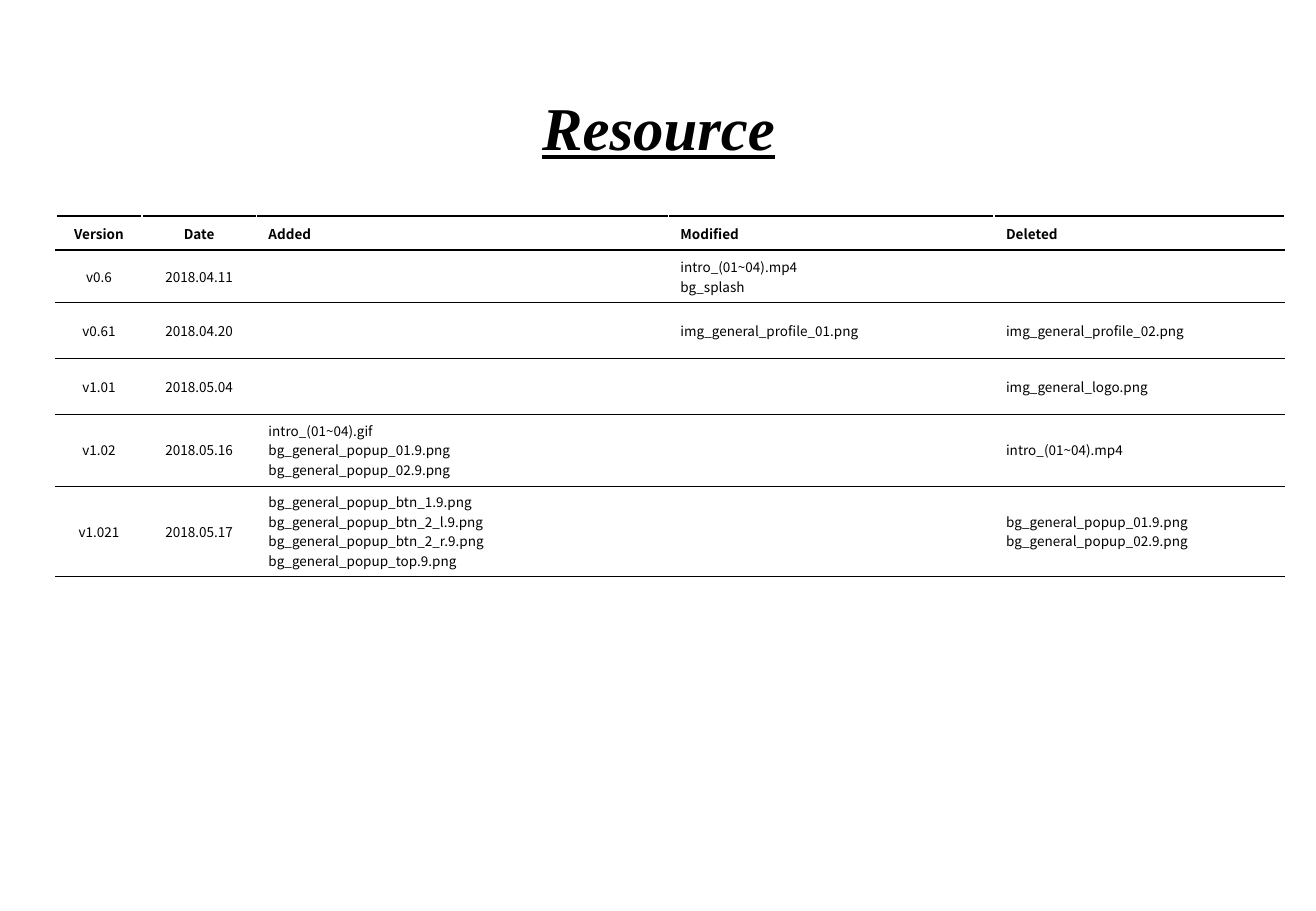
from lxml import etree
from pptx import Presentation
from pptx import util as u
from pptx.dml import color
from pptx.enum import text
from pptx.oxml import ns

BLACK, WHITE = "000000", "FFFFFF"
COLUMN_WIDTHS = [0.71, 0.94, 3.39, 2.68, 2.39]
ROW_HEIGHTS = [0.28, 0.43, 0.46, 0.46, 0.59, 0.74]
RESOURCES = [
    ["Version", "Date", "Added", "Modified", "Deleted"],
    ["v0.6", "2018.04.11", "", "intro_(01~04).mp4\nbg_splash", ""],
    ["v0.61", "2018.04.20", "", "img_general_profile_01.png", "img_general_profile_02.png"],
    ["v1.01", "2018.05.04", "", "", "img_general_logo.png"],
    ["v1.02", "2018.05.16",
     "intro_(01~04).gif\nbg_general_popup_01.9.png\nbg_general_popup_02.9.png",
     "", "intro_(01~04).mp4"],
    ["v1.021", "2018.05.17",
     "bg_general_popup_btn_1.9.png\nbg_general_popup_btn_2_l.9.png\n"
     "bg_general_popup_btn_2_r.9.png\nbg_general_popup_top.9.png",
     "", "bg_general_popup_01.9.png\nbg_general_popup_02.9.png"],
]


def rgb(value):
    """Turn a hex string into a colour."""
    return color.RGBColor.from_string(value)


def add_run(paragraph, words, font_name, size, bold):
    """Add one black run to a paragraph and return it."""
    run = paragraph.add_run()
    run.text = words
    run.font.name = font_name
    run.font.size = u.Pt(size)
    run.font.bold = bold
    run.font.color.rgb = rgb(BLACK)
    return run


def add_title(slide, words):
    """Add the centred, underlined title."""
    shape = slide.shapes.add_textbox(u.Inches(1.09), u.Inches(0.74), u.Inches(8.66), u.Inches(0.49))
    frame = shape.text_frame
    frame.word_wrap = True
    frame.vertical_anchor = text.MSO_ANCHOR.MIDDLE
    frame.margin_top, frame.margin_bottom = u.Inches(0.1), 0
    paragraph = frame.paragraphs[0]
    paragraph.alignment = text.PP_ALIGN.CENTER
    run = add_run(paragraph, words, "Times New Roman", 36, True)
    run.font.italic = True
    run.font.underline = True


def add_border(cell, side, value, width):
    """Draw one side of a cell."""
    line = etree.SubElement(cell._tc.get_or_add_tcPr(), ns.qn(f"a:ln{side}"), w=str(u.Pt(width)))
    fill = etree.SubElement(line, ns.qn("a:solidFill"))
    etree.SubElement(fill, ns.qn("a:srgbClr"), val=value)


def fill_cell(cell, words, row, column):
    """Write and style one table cell."""
    cell.vertical_anchor = text.MSO_ANCHOR.MIDDLE
    frame = cell.text_frame
    for index, line in enumerate(words.splitlines()):
        paragraph = frame.add_paragraph() if index else frame.paragraphs[0]
        paragraph.alignment = text.PP_ALIGN.CENTER if column < 2 else text.PP_ALIGN.LEFT
        add_run(paragraph, line, "Noto Sans CJK KR", 8, row == 0)
    add_border(cell, "L", WHITE, 1)
    add_border(cell, "R", WHITE, 1)
    add_border(cell, "T", BLACK, 1 if row < 2 else 0.25)
    add_border(cell, "B", BLACK, 1 if row == 0 else 0.25)
    cell.fill.background()


def add_resource_table(slide):
    """Add the table of resource changes by version."""
    frame = slide.shapes.add_table(
        len(ROW_HEIGHTS), len(COLUMN_WIDTHS), u.Inches(0.46), u.Inches(1.78),
        u.Inches(sum(COLUMN_WIDTHS)), u.Inches(sum(ROW_HEIGHTS)))
    table = frame.table
    table.first_row = table.horz_banding = False
    for column, width in zip(table.columns, COLUMN_WIDTHS):
        column.width = u.Inches(width)
    for row, height in zip(table.rows, ROW_HEIGHTS):
        row.height = u.Inches(height)
    for row, entries in enumerate(RESOURCES):
        for column, words in enumerate(entries):
            fill_cell(table.cell(row, column), words, row, column)


def main():
    """Build the resource slide."""
    presentation = Presentation()
    presentation.slide_width = u.Inches(10.83)
    presentation.slide_height = u.Inches(7.5)
    slide = presentation.slides.add_slide(presentation.slide_layouts[6])
    add_resource_table(slide)
    add_title(slide, "Resource")
    presentation.save("out.pptx")


if __name__ == "__main__":
    main()
